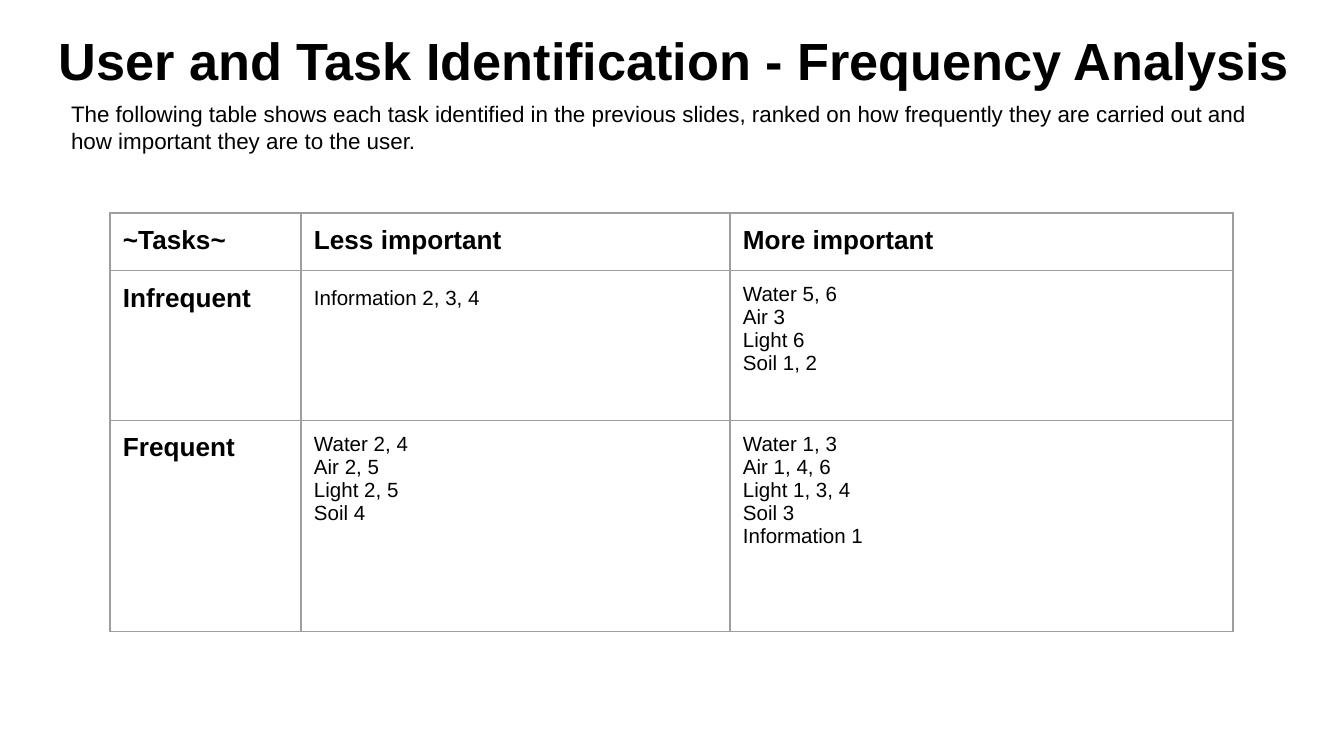
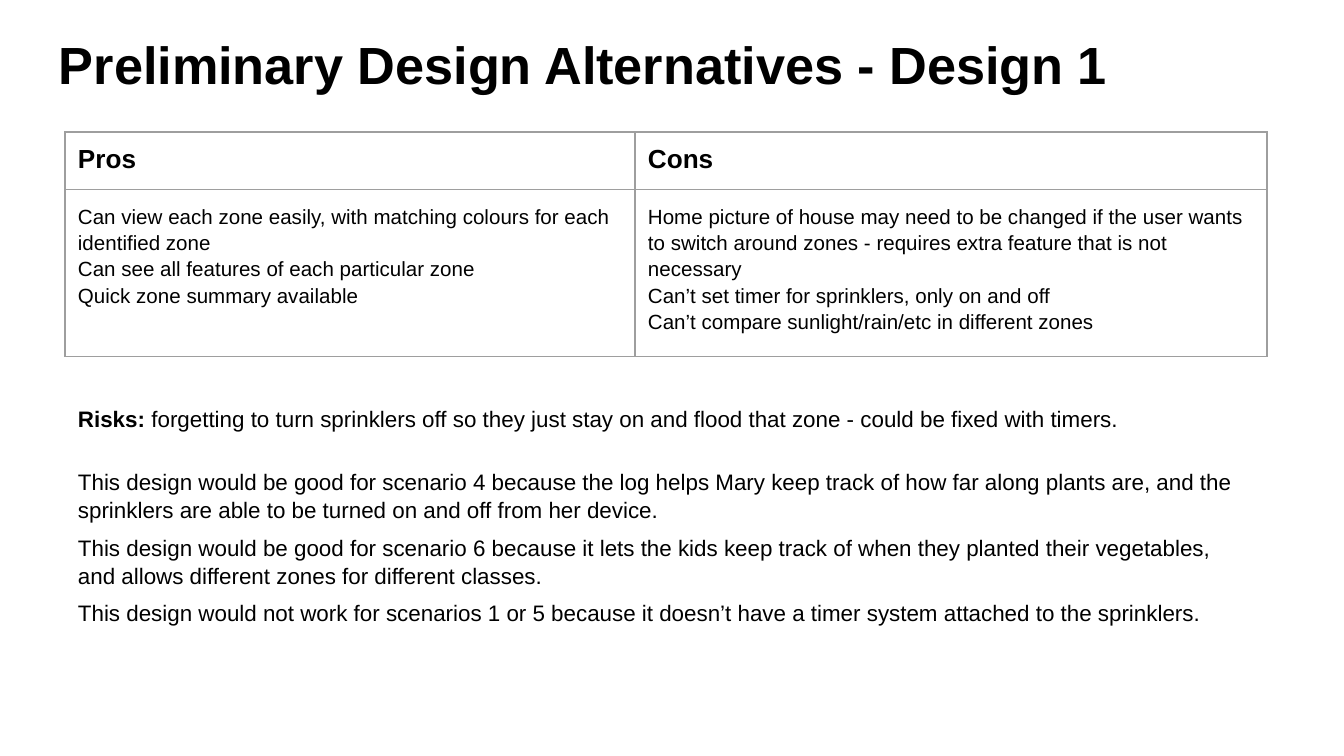
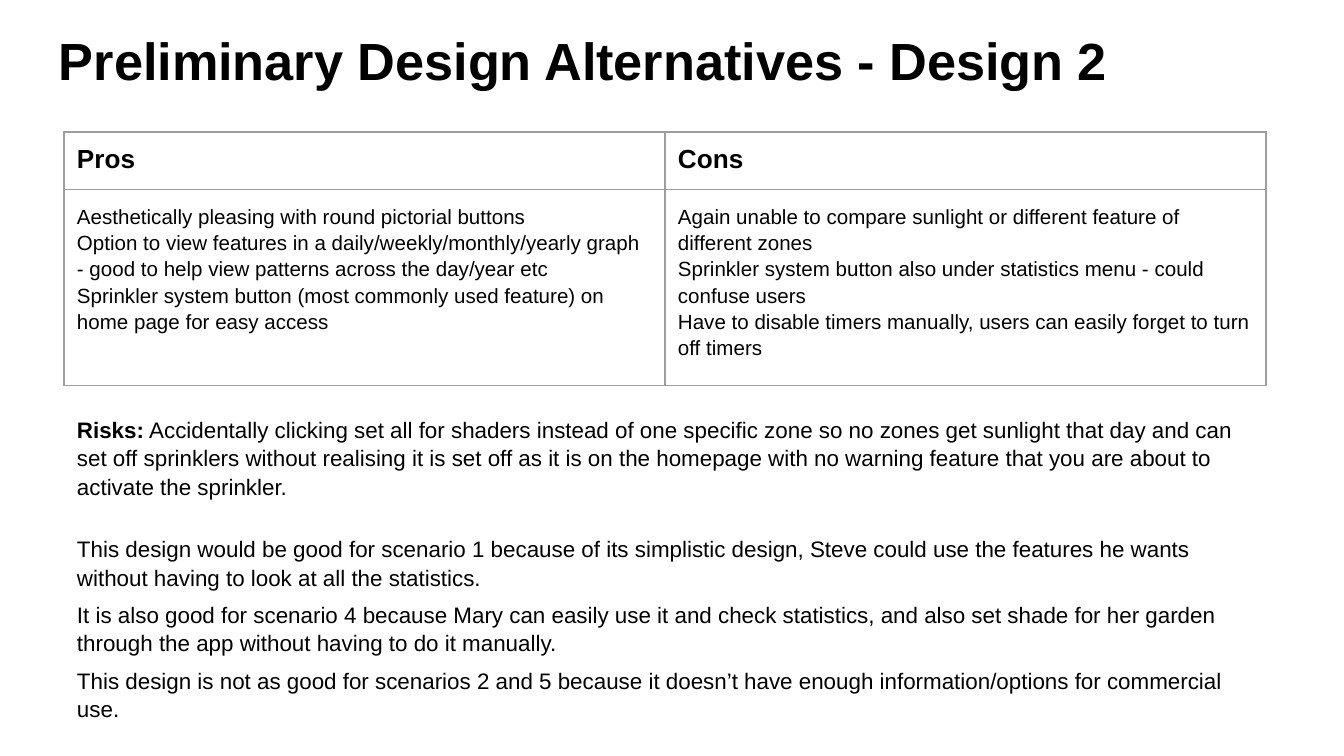
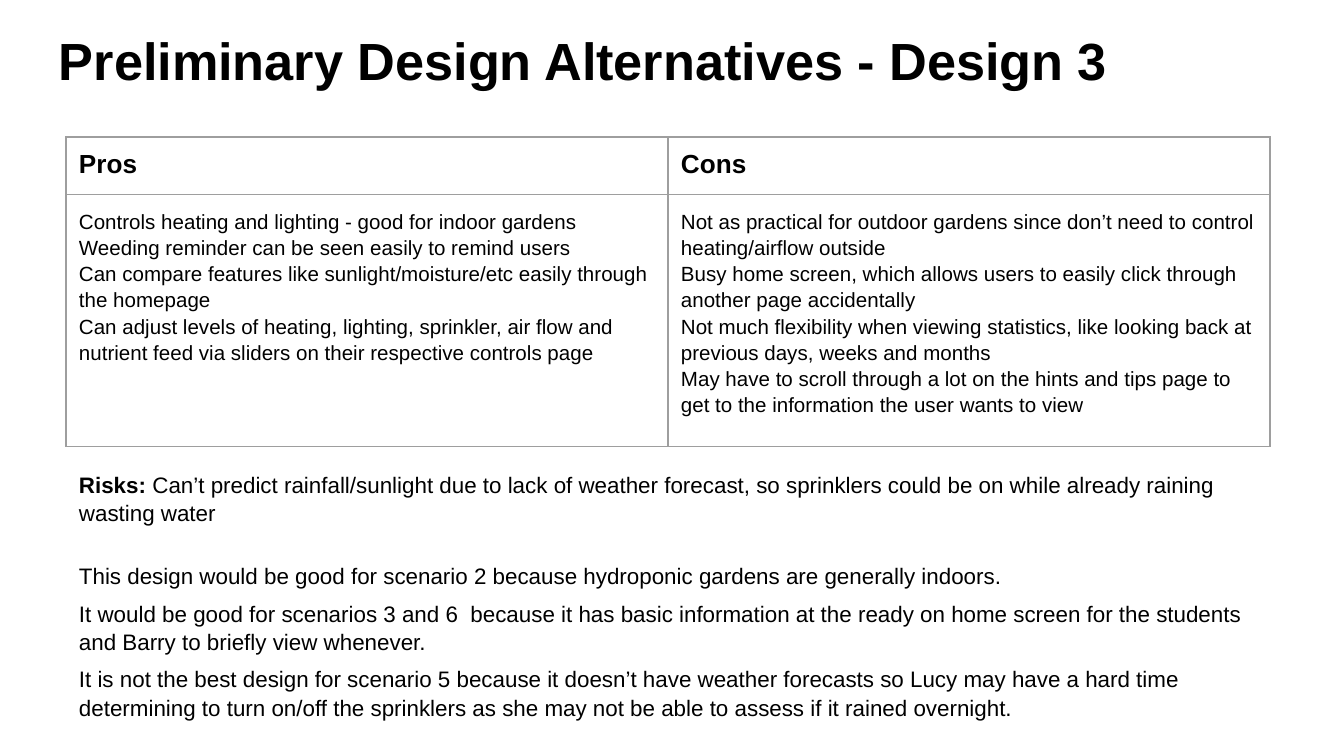
from lxml import etree
from pptx import Presentation
from pptx.dml.color import RGBColor
from pptx.enum.text import MSO_ANCHOR
from pptx.oxml.ns import qn
from pptx.util import Pt

PX = 914400 / 134.4
TOP = MSO_ANCHOR.TOP
FONT = "Arial"
COLORS = {"text": "000000", "border": "9E9E9E", "bg": "FFFFFF"}
SLIDE_W, SLIDE_H = 1344, 756
BLANK = 6
INSET = 13
BORDER_PT = 0.75
TITLE_PT, HEAD_PT, BODY_PT, CELL_PT = 28, 14, 12, 11
TITLE_X, TITLE_Y, TITLE_W, TITLE_H = 46, 9, 1253, 85
HEAD_H = 56

FREQUENCY = {
    "title": "User and Task Identification - Frequency Analysis",
    "intro": "The following table shows each task identified in the previous slides, "
             "ranked on how frequently they are carried out and how important they are to the user.",
    "rows": [
        [["~Tasks~"], ["Less important"], ["More important"]],
        [["Infrequent"],
         ["Information 2, 3, 4"],
         ["Water 5, 6", "Air 3", "Light 6", "Soil 1, 2"]],
        [["Frequent"],
         ["Water 2, 4", "Air 2, 5", "Light 2, 5", "Soil 4"],
         ["Water 1, 3", "Air 1, 4, 6", "Light 1, 3, 4", "Soil 3", "Information 1"]],
    ],
}

DESIGNS = [
    {
        "title": "Preliminary Design Alternatives - Design 1",
        "title_y": 13,
        "table": (65, 132),
        "cols": [570, 632],
        "body_h": 158,
        "pros": [
            "Can view each zone easily, with matching colours for each identified zone",
            "Can see all features of each particular zone",
            "Quick zone summary available",
        ],
        "cons": [
            "Home picture of house may need to be changed if the user wants to switch around zones "
            "- requires extra feature that is not necessary",
            "Can’t set timer for sprinklers, only on and off",
            "Can’t compare sunlight/rain/etc in different zones",
        ],
        "notes_box": (65, 391, 1202, 281),
        "risks": " forgetting to turn sprinklers off so they just stay on and flood that zone "
                 "- could be fixed with timers.",
        "scenarios": [
            "This design would be good for scenario 4 because the log helps Mary keep track of how far "
            "along plants are, and the sprinklers are able to be turned on and off from her device.",
            "This design would be good for scenario 6 because it lets the kids keep track of when they "
            "planted their vegetables, and allows different zones for different classes.",
            "This design would not work for scenarios 1 or 5 because it doesn’t have a timer system "
            "attached to the sprinklers.",
        ],
    },
    {
        "title": "Preliminary Design Alternatives - Design 2",
        "title_y": TITLE_Y,
        "table": (64, 132),
        "cols": [601, 601],
        "body_h": 184,
        "pros": [
            "Aesthetically pleasing with round pictorial buttons",
            "Option to view features in a daily/weekly/monthly/yearly graph - good to help view "
            "patterns across the day/year etc",
            "Sprinkler system button (most commonly used feature) on home page for easy access",
        ],
        "cons": [
            "Again unable to compare sunlight or different feature of different zones",
            "Sprinkler system button also under statistics menu - could confuse users",
            "Have to disable timers manually, users can easily forget to turn off timers",
        ],
        "notes_box": (64, 402, 1202, 319),
        "risks": " Accidentally clicking set all for shaders instead of one specific zone so no zones get "
                 "sunlight that day and can set off sprinklers without realising it is set off as it is on "
                 "the homepage with no warning feature that you are about to activate the sprinkler.",
        "scenarios": [
            "This design would be good for scenario 1 because of its simplistic design, Steve could use "
            "the features he wants without having to look at all the statistics.",
            "It is also good for scenario 4 because Mary can easily use it and check statistics, and also "
            "set shade for her garden through the app without having to do it manually.",
            "This design is not as good for scenarios 2 and 5 because it doesn’t have enough "
            "information/options for commercial use.",
        ],
    },
    {
        "title": "Preliminary Design Alternatives - Design 3",
        "title_y": TITLE_Y,
        "table": (66, 137),
        "cols": [602, 602],
        "body_h": 237,
        "pros": [
            "Controls heating and lighting - good for indoor gardens",
            "Weeding reminder can be seen easily to remind users",
            "Can compare features like sunlight/moisture/etc easily through the homepage",
            "Can adjust levels of heating, lighting, sprinkler, air flow and nutrient feed via sliders "
            "on their respective controls page",
        ],
        "cons": [
            "Not as practical for outdoor gardens since don’t need to control heating/airflow outside",
            "Busy home screen, which allows users to easily click through another page accidentally",
            "Not much flexibility when viewing statistics, like looking back at previous days, "
            "weeks and months",
            "May have to scroll through a lot on the hints and tips page to get to the information "
            "the user wants to view",
        ],
        "notes_box": (66, 457, 1206, 266),
        "risks": " Can’t predict rainfall/sunlight due to lack of weather forecast, so sprinklers could "
                 "be on while already raining wasting water",
        "scenarios": [
            "This design would be good for scenario 2 because hydroponic gardens are generally indoors.",
            "It would be good for scenarios 3 and 6  because it has basic information at the ready on "
            "home screen for the students and Barry to briefly view whenever.",
            "It is not the best design for scenario 5 because it doesn’t have weather forecasts so Lucy "
            "may have a hard time determining to turn on/off the sprinklers as she may not be able to "
            "assess if it rained overnight.",
        ],
    },
]


def px(n):
    return round(n * PX)


def add_run(p, text, size, bold=False):
    r = p.add_run()
    r.text = text
    r.font.name = FONT
    r.font.size = Pt(size)
    r.font.bold = bold
    r.font.color.rgb = RGBColor.from_string(COLORS["text"])


def next_paragraph(tf, index, spacing):
    p = tf.add_paragraph() if index else tf.paragraphs[0]
    p.line_spacing = spacing
    return p


def add_text_box(s, box):
    tf = s.shapes.add_textbox(*map(px, box)).text_frame
    tf.word_wrap = True
    tf.vertical_anchor = TOP
    tf.margin_left = tf.margin_right = tf.margin_top = tf.margin_bottom = px(INSET)
    return tf


def add_slide(prs, title, title_y, title_w):
    s = prs.slides.add_slide(prs.slide_layouts[BLANK])
    s.background.fill.solid()
    s.background.fill.fore_color.rgb = RGBColor.from_string(COLORS["bg"])
    tf = add_text_box(s, (TITLE_X, title_y, title_w, TITLE_H))
    add_run(next_paragraph(tf, 0, 1.1), title, TITLE_PT, True)
    return s


def set_borders(cell):
    tc_pr = cell._tc.get_or_add_tcPr()
    for i, side in enumerate(("lnL", "lnR", "lnT", "lnB")):
        ln = etree.Element(qn(f"a:{side}"), w=str(Pt(BORDER_PT)))
        fill = etree.SubElement(ln, qn("a:solidFill"))
        etree.SubElement(fill, qn("a:srgbClr"), val=COLORS["border"])
        tc_pr.insert(i, ln)


def fill_cell(cell, lines, heading, spacing):
    cell.margin_left = cell.margin_right = cell.margin_top = cell.margin_bottom = px(INSET)
    cell.vertical_anchor = TOP
    cell.fill.background()
    set_borders(cell)
    for i, line in enumerate(lines):
        p = next_paragraph(cell.text_frame, i, spacing)
        add_run(p, line, HEAD_PT if heading else CELL_PT, heading)


def add_grid(s, origin, col_widths, row_heights, rows, is_heading, spacing_of):
    box = (*origin, sum(col_widths), sum(row_heights))
    table = s.shapes.add_table(len(rows), len(col_widths), *map(px, box)).table
    table.first_row = table.horz_banding = False
    for col, width in zip(table.columns, col_widths):
        col.width = px(width)
    for row, height in zip(table.rows, row_heights):
        row.height = px(height)
    for i, row in enumerate(rows):
        for j, lines in enumerate(row):
            heading = is_heading(i, j)
            spacing = 1.0 if heading else spacing_of(lines)
            fill_cell(table.cell(i, j), lines, heading, spacing)


def add_notes(s, box, risks, scenarios):
    tf = add_text_box(s, box)
    p = next_paragraph(tf, 0, 1.05)
    add_run(p, "Risks:", BODY_PT, True)
    add_run(p, risks, BODY_PT)
    for i, scenario in enumerate(scenarios, 1):
        p = next_paragraph(tf, i, 1.05)
        p.space_before = Pt(18.5 if i == 1 else 5)
        add_run(p, scenario, BODY_PT)


def frequency_slide(prs, data):
    s = add_slide(prs, data["title"], TITLE_Y, SLIDE_W - TITLE_X)
    add_grid(s, (110, 213), [191, 429, 503], [HEAD_H, 150, 211], data["rows"],
             lambda i, j: i == 0 or j == 0,
             lambda lines: 1.15 if len(lines) == 1 else 1.0)
    tf = add_text_box(s, (58, 87, 1241, 67))
    add_run(next_paragraph(tf, 0, 1.0), data["intro"], BODY_PT)


def design_slide(prs, data):
    s = add_slide(prs, data["title"], data["title_y"], TITLE_W)
    rows = [[["Pros"], ["Cons"]], [data["pros"], data["cons"]]]
    add_grid(s, data["table"], data["cols"], [HEAD_H, data["body_h"]], rows,
             lambda i, j: i == 0,
             lambda lines: 1.15)
    add_notes(s, data["notes_box"], data["risks"], data["scenarios"])


def main():
    prs = Presentation()
    prs.slide_width, prs.slide_height = px(SLIDE_W), px(SLIDE_H)
    frequency_slide(prs, FREQUENCY)
    for design in DESIGNS:
        design_slide(prs, design)
    prs.save("out.pptx")


if __name__ == "__main__":
    main()
